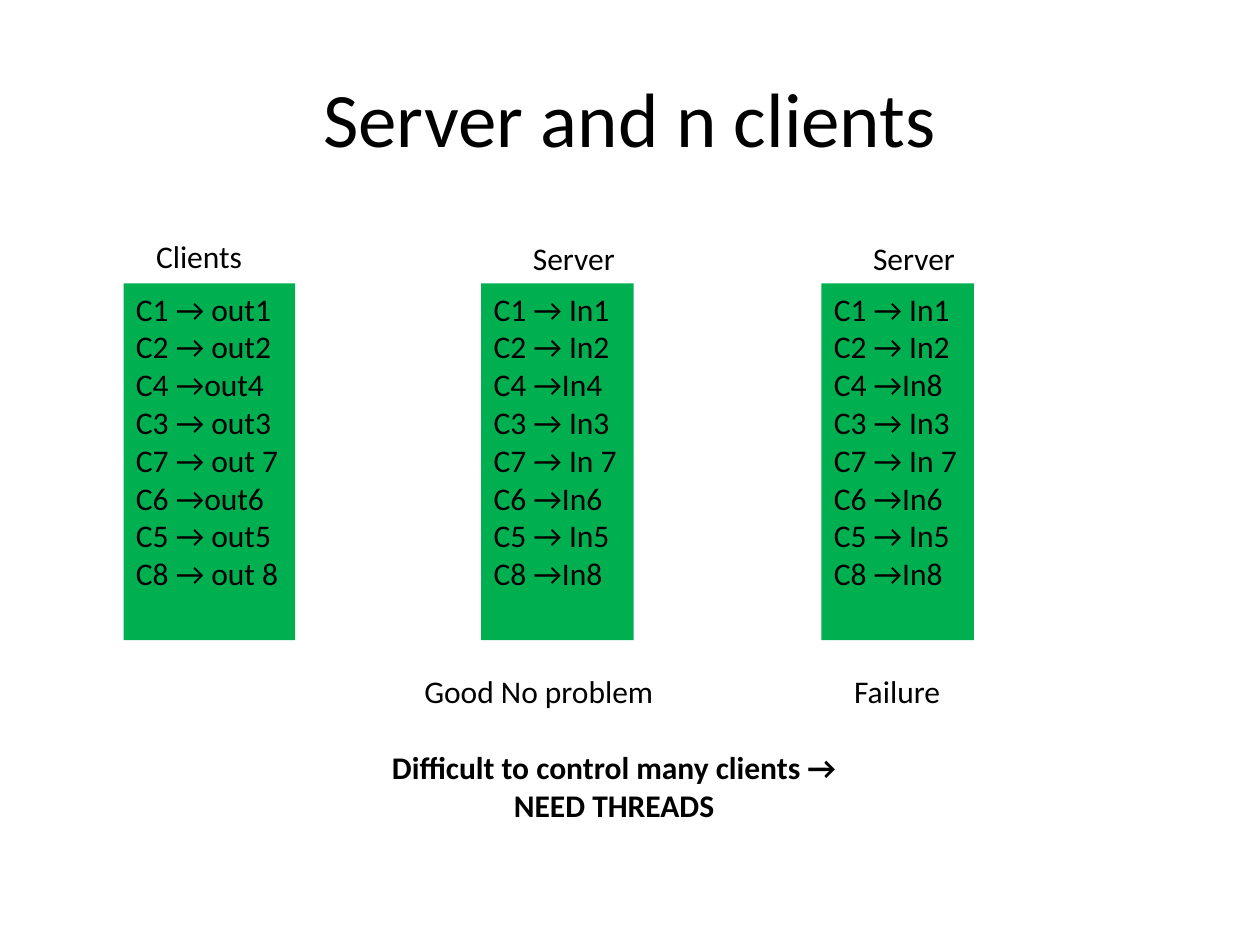
from pptx import Presentation
from pptx.dml.color import RGBColor
from pptx.enum.shapes import MSO_SHAPE
from pptx.enum.text import MSO_ANCHOR, PP_ALIGN
from pptx.util import Pt

BLACK = RGBColor(0x00, 0x00, 0x00)
GREEN = RGBColor(0x00, 0xB0, 0x50)
FONT = "Calibri"
PANEL_TOP, PANEL_HEIGHT = 162, 203.8
LABEL_HEIGHT = 28.8

SENT = ["C1 → out1", "C2 → out2", "C4 →out4", "C3 → out3",
        "C7 → out 7", "C6 →out6", "C5 → out5", "C8 → out 8"]
RECEIVED = ["C1 → In1", "C2 → In2", "C4 →In4", "C3 → In3",
            "C7 → In 7", "C6 →In6", "C5 → In5", "C8 →In8"]
MIXED_UP = ["C4 →In8" if line == "C4 →In4" else line for line in RECEIVED]


def write_text(frame, text, size=18, bold=False, align=PP_ALIGN.LEFT):
    """Fill a text frame and format all its runs."""
    frame.text = text
    frame.word_wrap = True
    for paragraph in frame.paragraphs:
        paragraph.alignment = align
        for run in paragraph.runs:
            run.font.name = FONT
            run.font.size = Pt(size)
            run.font.bold = bold
            run.font.color.rgb = BLACK


def add_title(slide, text):
    """Place the slide title."""
    title = slide.shapes.title
    title.left, title.top = Pt(36), Pt(21.6)
    title.width, title.height = Pt(648), Pt(90)
    write_text(title.text_frame, text, size=44, align=PP_ALIGN.CENTER)
    title.text_frame.vertical_anchor = MSO_ANCHOR.MIDDLE


def add_message_panel(slide, left, width, messages):
    """Draw a green panel listing messages in order."""
    panel = slide.shapes.add_shape(
        MSO_SHAPE.RECTANGLE, Pt(left), Pt(PANEL_TOP), Pt(width), Pt(PANEL_HEIGHT))
    panel.shadow.inherit = False
    panel.fill.solid()
    panel.fill.fore_color.rgb = GREEN
    panel.line.fill.background()
    write_text(panel.text_frame, "\n".join(messages))
    panel.text_frame.vertical_anchor = MSO_ANCHOR.TOP
    panel.text_frame.margin_right = 0


def add_label(slide, left, top, width, text):
    """Add a one-line label."""
    label = slide.shapes.add_textbox(Pt(left), Pt(top), Pt(width), Pt(LABEL_HEIGHT))
    write_text(label.text_frame, text)
    label.text_frame.margin_right = 0


def add_conclusion(slide, text):
    """Add the bold centred closing statement."""
    conclusion = slide.shapes.add_textbox(Pt(210.2), Pt(424), Pt(281.5), Pt(51))
    write_text(conclusion.text_frame, text, bold=True, align=PP_ALIGN.CENTER)


def main():
    """Build and save the slide."""
    deck = Presentation()
    deck.slide_width, deck.slide_height = Pt(720), Pt(540)
    slide = deck.slides.add_slide(deck.slide_layouts[5])
    add_title(slide, "Server and n clients")

    for left, width, messages in (
            (70.6, 98, SENT), (275, 87.1, RECEIVED), (469.4, 87.1, MIXED_UP)):
        add_message_panel(slide, left, width, messages)

    for left, top, width, text in (
            (82.1, 131.8, 64.1, "Clients"),
            (297.4, 133.2, 62, "Server"),
            (491.8, 133.2, 62, "Server"),
            (235.4, 380.2, 146.9, "Good No problem"),
            (481, 380.2, 64.1, "Failure")):
        add_label(slide, left, top, width, text)

    add_conclusion(slide, "Difficult to control many clients → NEED THREADS")
    deck.save("out.pptx")


main()
